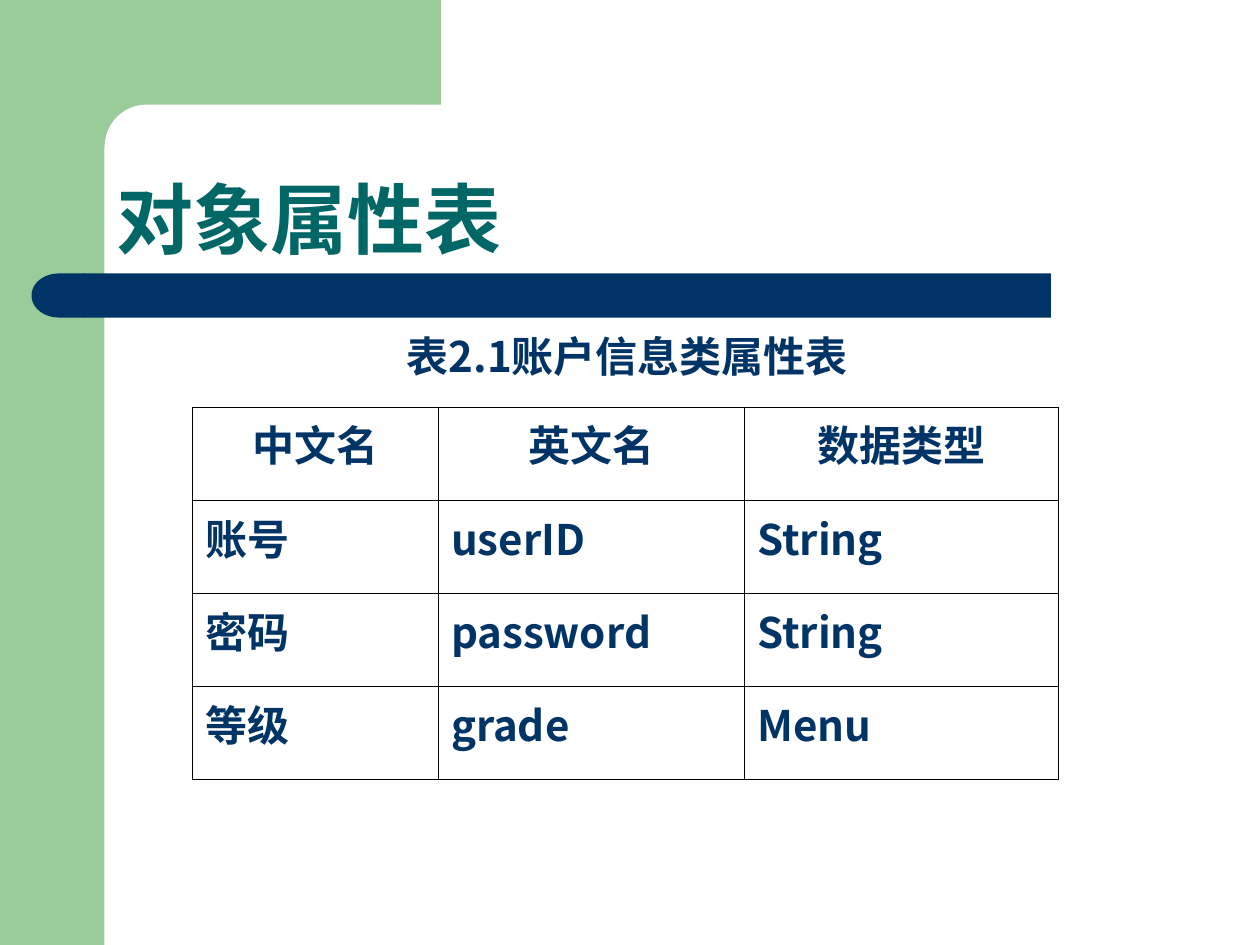
"""Build the slide showing the attribute table of the account class."""
import pptx
import pptx.dml.color
import pptx.enum.shapes
import pptx.enum.text
import pptx.oxml
import pptx.oxml.ns
import pptx.util

Inches = pptx.util.Inches
Pt = pptx.util.Pt
RGB = pptx.dml.color.RGBColor.from_string
KIND = pptx.enum.shapes.MSO_SHAPE
ALIGN = pptx.enum.text.PP_ALIGN
ANCHOR = pptx.enum.text.MSO_ANCHOR

TITLE = "对象属性表"
CAPTION = "表2.1账户信息类属性表"
ATTRIBUTES = [
    ("中文名", "英文名", "数据类型"),
    ("账号", "userID", "String"),
    ("密码", "password", "String"),
    ("等级", "grade", "Menu"),
]

CJK = "Noto Sans CJK SC"
THEME = {
    "green": "99CC99",
    "white": "FFFFFF",
    "navy": "003366",
    "rule": "000000",
    "rule_width": 0.45,
    "title": {"name": "Arial", "size": Pt(44), "bold": True, "color": "006666"},
    "body": {"name": CJK, "size": Pt(24), "bold": True, "color": "003366"},
}

DECORATION = [
    (KIND.RECTANGLE, (0, 0, 0.83, 7.5), "green", 0, None),
    (KIND.RECTANGLE, (0.75, 0, 2.75, 1.17), "green", 0, None),
    (KIND.ROUNDED_RECTANGLE, (0.83, 0.83, 5.58, 0.67), "white", 0, 0.5),
    (KIND.ROUNDED_RECTANGLE, (0.67, 2.17, 7.67, 0.35), "navy", 0, 0),
    (KIND.FLOWCHART_DELAY, (0.25, 2.17, 0.43, 0.35), "navy", 180, None),
]
TITLE_BOX = (0.83, 1.47, 8.5, 0.68)
CAPTION_BOX = (3.13, 2.57, 4.03, 0.5)
TABLE_CORNER = (1.53, 3.23)
COLUMN_WIDTHS = (1.95, 2.43, 2.49)
ROW_HEIGHT = 0.74


def inches(lengths):
    """Convert a sequence of lengths to slide units."""
    return [Inches(length) for length in lengths]


def write(frame, wording, style, **layout):
    """Put one styled paragraph into a text frame."""
    paragraph = frame.paragraphs[0]
    for attribute, setting in layout.items():
        setattr(paragraph, attribute, setting)
    run = paragraph.add_run()
    run.text = wording
    for attribute, setting in THEME[style].items():
        if attribute == "color":
            run.font.color.rgb = RGB(setting)
        else:
            setattr(run.font, attribute, setting)
    east_asian = pptx.oxml.parse_xml(
        f'<a:ea {pptx.oxml.ns.nsdecls("a")} typeface="{CJK}"/>')
    run.font._element.find(pptx.oxml.ns.qn("a:latin")).addnext(east_asian)


def add_decoration(slide):
    """Draw the green frame and the navy bar."""
    for kind, place, color, rotation, rounding in DECORATION:
        band = slide.shapes.add_shape(kind, *inches(place))
        band.shadow.inherit = False
        band.fill.solid()
        band.fill.fore_color.rgb = RGB(THEME[color])
        band.line.fill.background()
        band.rotation = rotation
        if rounding is not None:
            band.adjustments[0] = rounding


def add_heading(slide, place, wording, style, anchor, **layout):
    """Add a line of text in a wrapping box."""
    frame = slide.shapes.add_textbox(*inches(place)).text_frame
    frame.word_wrap = True
    frame.vertical_anchor = anchor
    write(frame, wording, style, **layout)


def outline(cell):
    """Rule all four sides of a cell and leave it unfilled."""
    borders = cell._tc.get_or_add_tcPr()
    for side in "LRTB":
        borders.append(pptx.oxml.parse_xml(
            f'<a:ln{side} {pptx.oxml.ns.nsdecls("a")} w="{Pt(THEME["rule_width"])}">'
            f'<a:solidFill><a:srgbClr val="{THEME["rule"]}"/></a:solidFill></a:ln{side}>'))
    cell.fill.background()


def add_attributes(slide):
    """Add the ruled attribute table with a centred header row."""
    size = (sum(COLUMN_WIDTHS), ROW_HEIGHT * len(ATTRIBUTES))
    table = slide.shapes.add_table(
        len(ATTRIBUTES), len(COLUMN_WIDTHS), *inches(TABLE_CORNER + size)).table
    for option in ("first_row", "horz_banding"):
        setattr(table, option, False)
    for column, width in zip(table.columns, COLUMN_WIDTHS):
        column.width = Inches(width)
    for index, (row, attribute) in enumerate(zip(table.rows, ATTRIBUTES)):
        row.height = Inches(ROW_HEIGHT)
        alignment = ALIGN.LEFT if index else ALIGN.CENTER
        for cell, wording in zip(row.cells, attribute):
            outline(cell)
            write(cell.text_frame, wording, "body", alignment=alignment)


def main():
    """Assemble and save the slide."""
    deck = pptx.Presentation()
    deck.slide_width, deck.slide_height = inches((10, 7.5))
    slide = deck.slides.add_slide(deck.slide_layouts[6])
    add_decoration(slide)
    add_heading(slide, TITLE_BOX, TITLE, "title", ANCHOR.BOTTOM, line_spacing=0.9)
    add_heading(slide, CAPTION_BOX, CAPTION, "body", ANCHOR.MIDDLE)
    add_attributes(slide)
    deck.save("out.pptx")


if __name__ == "__main__":
    main()
